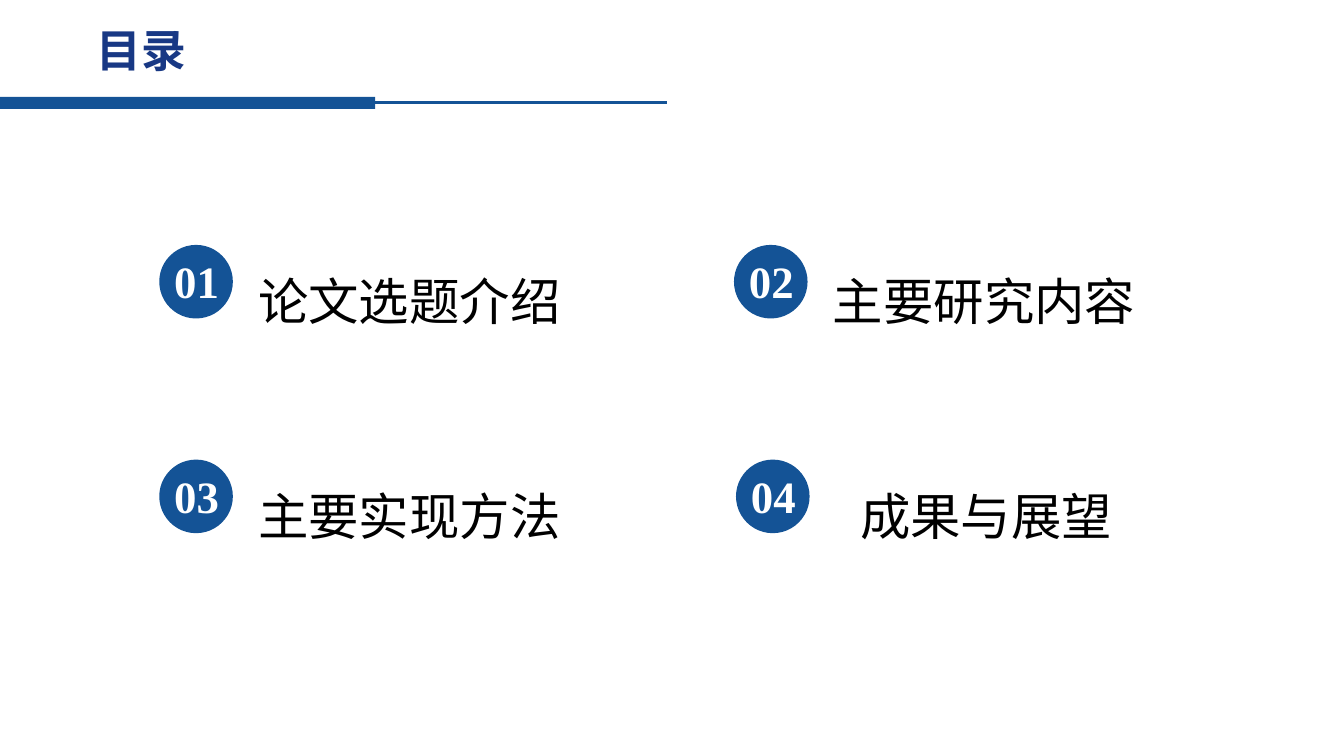
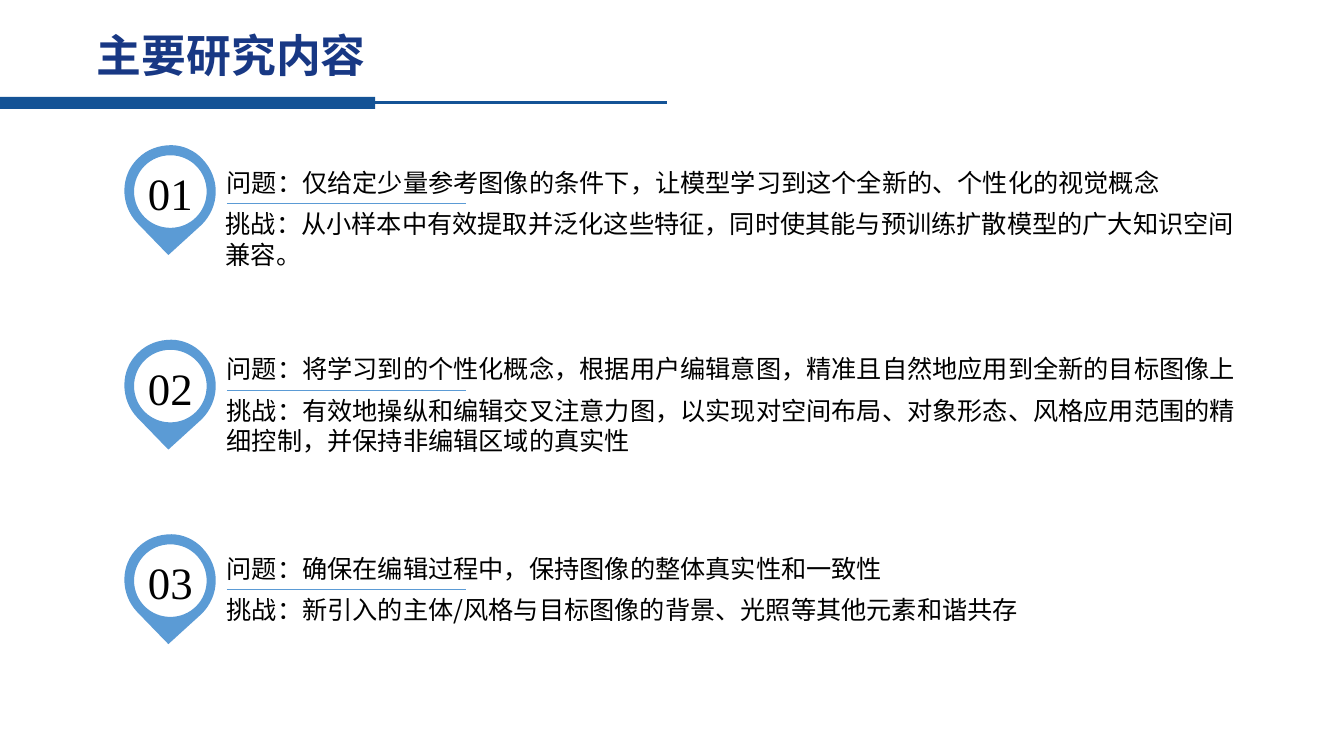
import pptx
import pptx.dml.color
import pptx.enum.shapes
import pptx.enum.text
import pptx.oxml.ns
import pptx.util
from lxml import etree

Inches = pptx.util.Inches
Pt = pptx.util.Pt
SHAPE = pptx.enum.shapes.MSO_SHAPE
ALIGN = pptx.enum.text.PP_ALIGN
ANCHOR = pptx.enum.text.MSO_ANCHOR
AUTOSIZE = pptx.enum.text.MSO_AUTO_SIZE
qn = pptx.oxml.ns.qn

BAND, TITLE, PIN = "145396", "183884", "5B9BD5"
BLACK, WHITE = "000000", "FFFFFF"
SANS, SERIF = "Noto Sans CJK SC", "Times New Roman"

# Left, top, text
CONTENTS = [
    (1.58, 2.03, "论文选题介绍"),
    (7.28, 2.03, "主要研究内容"),
    (1.58, 4.16, "主要实现方法"),
    (7.30, 4.16, "成果与展望"),
]

# Height of the dividing line, left of the challenge, problem, challenge
TOPICS = [
    (2.02, 2.14, "问题：仅给定少量参考图像的条件下，让模型学习到这个全新的、个性化的视觉概念",
     "挑战：从小样本中有效提取并泛化这些特征，同时使其能与预训练扩散模型的广大知识空间兼容。"),
    (3.87, 2.15, "问题：将学习到的个性化概念，根据用户编辑意图，精准且自然地应用到全新的目标图像上",
     "挑战：有效地操纵和编辑交叉注意力图，以实现对空间布局、对象形态、风格应用范围的精细控制，并保持非编辑区域的真实性"),
    (5.85, 2.15, "问题：确保在编辑过程中，保持图像的整体真实性和一致性",
     "挑战：新引入的主体/风格与目标图像的背景、光照等其他元素和谐共存"),
]

# Pin contours: a start, then segments of one point (line) or three (curve)
PIN_HOLE = [
    [(0.46, 0.1)],
    [(0.26, 0.1), (0.1, 0.26), (0.1, 0.46)],
    [(0.1, 0.66), (0.26, 0.82), (0.46, 0.82)],
    [(0.66, 0.82), (0.82, 0.66), (0.82, 0.46)],
    [(0.82, 0.26), (0.66, 0.1), (0.46, 0.1)],
]
PIN_EDGE = [
    [(0.47, 0)],
    [(0.58, 0), (0.7, 0.05), (0.78, 0.14)],
    [(0.96, 0.33), (0.95, 0.61), (0.77, 0.79)],
    [(0.44, 1.09)],
    [(0.13, 0.77)],
    [(-0.04, 0.59), (-0.04, 0.3), (0.14, 0.13)],
    [(0.23, 0.04), (0.35, 0), (0.47, 0)],
]


def rgb(color):
    return pptx.dml.color.RGBColor.from_string(color)


def write(sp, text, size, font=SANS, color=BLACK, bold=False, align=ALIGN.LEFT,
          spacing=1.0, anchor=ANCHOR.TOP, insets=(0.1, 0.05, 0.1, 0.05), wrap=True):
    tf = sp.text_frame
    tf.auto_size = AUTOSIZE.NONE
    tf.word_wrap = wrap
    tf.vertical_anchor = anchor
    tf.margin_left, tf.margin_top, tf.margin_right, tf.margin_bottom = map(Inches, insets)
    p = tf.paragraphs[0]
    p.alignment = align
    p.line_spacing = spacing
    r = p.add_run()
    r.text = text
    r.font.size, r.font.bold, r.font.name = Pt(size), bold, font
    r.font.color.rgb = rgb(color)
    etree.SubElement(r.font._element, qn("a:ea"), typeface=font)


def add_text(shapes, box, text, size, **fmt):
    write(shapes.add_textbox(*map(Inches, box)), text, size, **fmt)


def paint(sp, color):
    sp.fill.solid()
    sp.fill.fore_color.rgb = rgb(color)
    sp.line.fill.background()
    sp.shadow.inherit = False
    return sp


def add_shape(shapes, kind, box, color):
    return paint(shapes.add_shape(kind, *map(Inches, box)), color)


def add_line(shapes, x, y, width, color, weight):
    line = shapes.add_connector(pptx.enum.shapes.MSO_CONNECTOR.STRAIGHT,
                                *map(Inches, (x, y, x + width, y)))
    line.line.color.rgb = rgb(color)
    line.line.width = Pt(weight)
    etree.SubElement(line._element.spPr, qn("a:effectLst"))
    return line


def move_bands_to_layout(s):
    """Draw the header bands once and hand them to the shared layout."""
    bands = [add_shape(s.shapes, SHAPE.RECTANGLE, (0, 0.96, 3.72, 0.12), BAND),
             add_line(s.shapes, 3.68, 1.02, 2.94, BAND, 2.25)]
    for band in bands:
        s.slide_layout.shapes._spTree.append(band._element)


def add_slide(prs, title, top):
    s = prs.slides.add_slide(prs.slide_layouts[5])
    sp = s.shapes.title
    sp.left, sp.top, sp.width, sp.height = map(Inches, (0.86, top, 12.47, 0.64))
    write(sp, title, 32, color=TITLE, bold=True)
    return s


def add_entry(s, x, y, number, text):
    """One numbered entry of the contents, grouped."""
    shapes = s.shapes.add_group_shape().shapes
    add_text(shapes, (x + 0.02, y, 4.92, 1.13), text, 36, align=ALIGN.CENTER, spacing=2.0)
    add_shape(shapes, SHAPE.OVAL, (x, y + 0.4, 0.73, 0.73), BAND)
    add_text(shapes, (x + 0.05, y + 0.44, 0.66, 0.64), f"{number:02}", 32,
             font=SERIF, color=WHITE, bold=True, wrap=False)


def add_curved_shape(s, x, y, contours):
    """Freeform whose three-point segments become Bezier curves."""
    def place(point):
        return Inches(x + point[0]), Inches(y + point[1])

    fb = s.shapes.build_freeform(*place(contours[0][0][0]))
    for i, contour in enumerate(contours):
        if i:
            fb.move_to(*place(contour[0][0]))
        fb.add_line_segments([place(pt) for seg in contour[1:] for pt in seg], close=True)
    sp = fb.convert_to_shape()

    lines = iter(list(sp._element.iter(qn("a:lnTo"))))
    for seg in (seg for contour in contours for seg in contour[1:]):
        parts = [next(lines) for _ in seg]
        if len(parts) == 3:
            curve = etree.Element(qn("a:cubicBezTo"))
            parts[0].addprevious(curve)
            for part in parts:
                curve.append(part[0])
                part.getparent().remove(part)
    return sp


def add_pin(s, x, y, number):
    """Map pin with its number."""
    sp = paint(add_curved_shape(s, x, y, [PIN_HOLE, PIN_EDGE]), PIN)
    write(sp, f"{number:02}", 32, font=SERIF, align=ALIGN.CENTER, spacing=1.1,
          anchor=ANCHOR.MIDDLE, insets=(0.12, 0, 0.12, 0.2))


def add_topic(s, x, y, challenge_x, problem, challenge):
    """Problem above the dividing line, challenge below it."""
    add_text(s.shapes, (x, y - 0.41, 10.31, 0.4), problem, 18)
    add_line(s.shapes, x + 0.1, y, 2.37, PIN, 0.5)
    add_text(s.shapes, (challenge_x, y, 10.31, 0.71), challenge, 18)


def contents_slide(prs):
    s = add_slide(prs, "目录", 0.18)
    move_bands_to_layout(s)
    for number, (x, y, text) in enumerate(CONTENTS, 1):
        add_entry(s, x, y, number, text)


def topics_slide(prs):
    s = add_slide(prs, "主要研究内容", 0.22)
    for i, (line_y, challenge_x, problem, challenge) in enumerate(TOPICS):
        add_pin(s, 1.23, 1.44 + 1.93 * i, i + 1)
        add_topic(s, 2.15, line_y, challenge_x, problem, challenge)


def main():
    prs = pptx.Presentation()
    prs.slide_width, prs.slide_height = Inches(13.33), Inches(7.5)
    contents_slide(prs)
    topics_slide(prs)
    prs.save("out.pptx")


if __name__ == "__main__":
    main()
